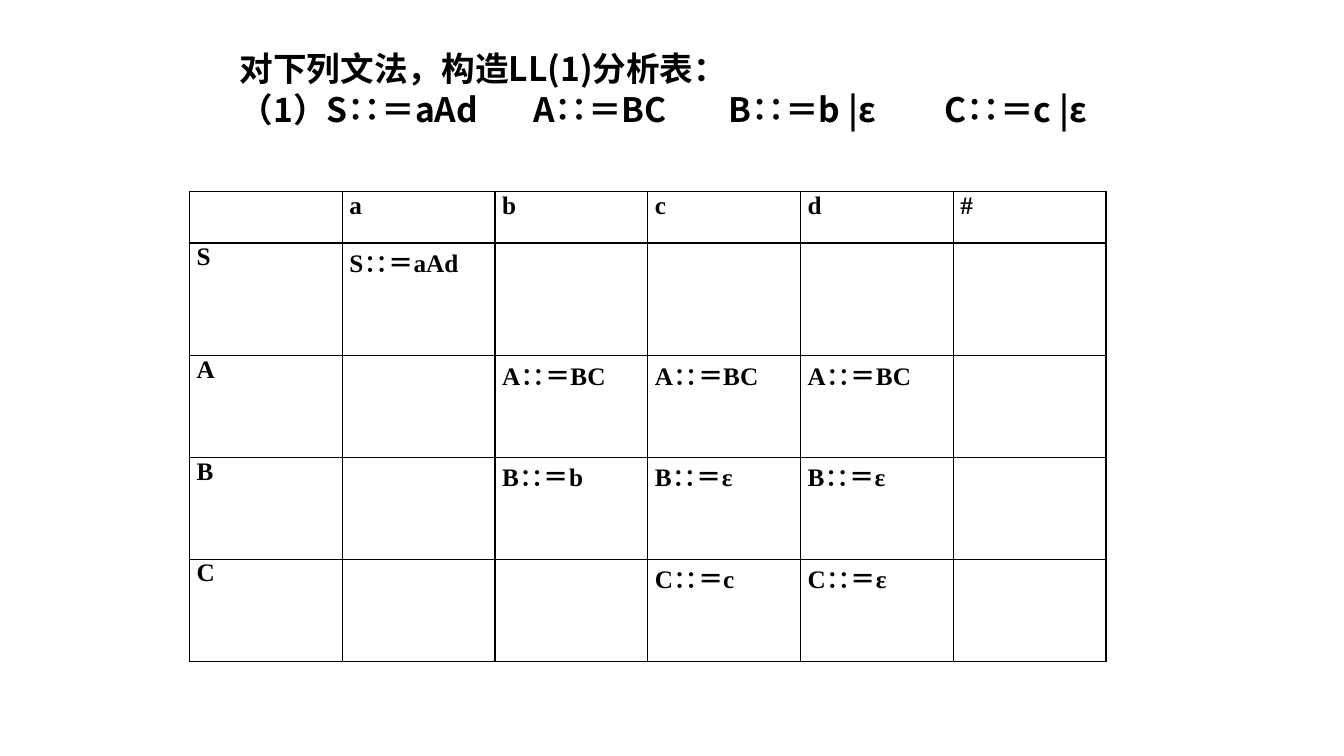
from dataclasses import dataclass

from lxml.etree import SubElement
from pptx import Presentation
from pptx.dml.color import RGBColor
from pptx.enum.text import MSO_AUTO_SIZE as AutoSize, PP_ALIGN as Align
from pptx.oxml.ns import qn
from pptx.util import Inches, Pt


@dataclass(frozen=True)
class Theme:
    ink: RGBColor = RGBColor(0, 0, 0)
    heading_font: str = "Noto Sans CJK SC"
    table_font: str = "Times New Roman"
    heading_size: int = 24
    table_size: int = 18
    border_width: int = 1


@dataclass(frozen=True)
class Production:
    """A grammar rule and the lookahead terminals that select it."""
    head: str
    body: str
    lookaheads: str

    def text(self) -> str:
        return f"{self.head}∷＝{self.body}"


THEME = Theme()
TERMINALS = "abcd#"
ROW_HEIGHTS = {"": 0.51, "S": 1.12, "A": 1.01, "B": 1.01, "C": 1.01}
PRODUCTIONS = [
    Production("S", "aAd", "a"),
    Production("A", "BC", "bcd"),
    Production("B", "b", "b"),
    Production("B", "ε", "cd"),
    Production("C", "c", "c"),
    Production("C", "ε", "d"),
]
HEADING = [
    "对下列文法，构造LL(1)分析表：",
    "（1）S∷＝aAd\tA∷＝BC\tB∷＝b |ε\tC∷＝c |ε",
]
RULE_STOPS = (2.91, 4.85, 6.99)
TABLE_LEFT, TABLE_TOP, TABLE_WIDTH = 1.88, 1.9, 9.09


def add_run(paragraph, text: str, size: int, font_name: str) -> None:
    run = paragraph.add_run()
    run.text = text
    font = run.font
    font.size, font.bold, font.name = Pt(size), True, font_name
    font.color.rgb = THEME.ink
    east_asian = SubElement(font._element, qn("a:ea"))
    east_asian.set("typeface", THEME.heading_font)


def add_tab_stops(paragraph, stops: tuple[float, ...]) -> None:
    tab_list = SubElement(paragraph._p.get_or_add_pPr(), qn("a:tabLst"))
    for stop in stops:
        SubElement(tab_list, qn("a:tab"), pos=str(Inches(stop)), algn="l")


def add_borders(cell) -> None:
    properties = cell._tc.get_or_add_tcPr()
    for index, side in enumerate(("lnL", "lnR", "lnT", "lnB")):
        line = SubElement(properties, qn(f"a:{side}"), w=str(Pt(THEME.border_width)))
        paint = SubElement(line, qn("a:solidFill"))
        SubElement(paint, qn("a:srgbClr"), val=str(THEME.ink))
        properties.insert(index, line)


def add_heading(slide) -> None:
    heading = slide.shapes.add_textbox(
        Inches(2.28), Inches(0.43), Inches(10.16), Inches(0.91)).text_frame
    heading.word_wrap = True
    heading.auto_size = AutoSize.SHAPE_TO_FIT_TEXT
    for index, line in enumerate(HEADING):
        paragraph = heading.paragraphs[0] if index == 0 else heading.add_paragraph()
        if "\t" in line:
            add_tab_stops(paragraph, RULE_STOPS)
        add_run(paragraph, line, THEME.heading_size, THEME.heading_font)


def entry_text(nonterminal: str, terminal: str) -> str:
    """Header labels on the edges, the selected production inside."""
    if not nonterminal or not terminal:
        return nonterminal or terminal
    return next((rule.text() for rule in PRODUCTIONS
                 if rule.head == nonterminal and terminal in rule.lookaheads), "")


def add_parse_table(slide) -> None:
    columns = ["", *TERMINALS]
    table = slide.shapes.add_table(
        len(ROW_HEIGHTS), len(columns), Inches(TABLE_LEFT), Inches(TABLE_TOP),
        Inches(TABLE_WIDTH), Inches(sum(ROW_HEIGHTS.values()))).table
    table.first_row = table.horz_banding = False
    for column in table.columns:
        column.width = Inches(TABLE_WIDTH / len(columns))
    for row, (nonterminal, height) in enumerate(ROW_HEIGHTS.items()):
        table.rows[row].height = Inches(height)
        for col, terminal in enumerate(columns):
            cell = table.cell(row, col)
            cell.fill.background()
            cell.margin_left = cell.margin_right = Inches(0.07)
            cell.margin_top = cell.margin_bottom = 0
            add_borders(cell)
            text = entry_text(nonterminal, terminal)
            if text:
                paragraph = cell.text_frame.paragraphs[0]
                paragraph.alignment = Align.JUSTIFY
                add_run(paragraph, text, THEME.table_size, THEME.table_font)


def main() -> None:
    deck = Presentation()
    deck.slide_width, deck.slide_height = Inches(13.33), Inches(7.5)
    slide = deck.slides.add_slide(deck.slide_layouts[6])
    # Grammar to analyse
    add_heading(slide)
    # LL(1) parse table
    add_parse_table(slide)
    deck.save("out.pptx")


if __name__ == "__main__":
    main()
